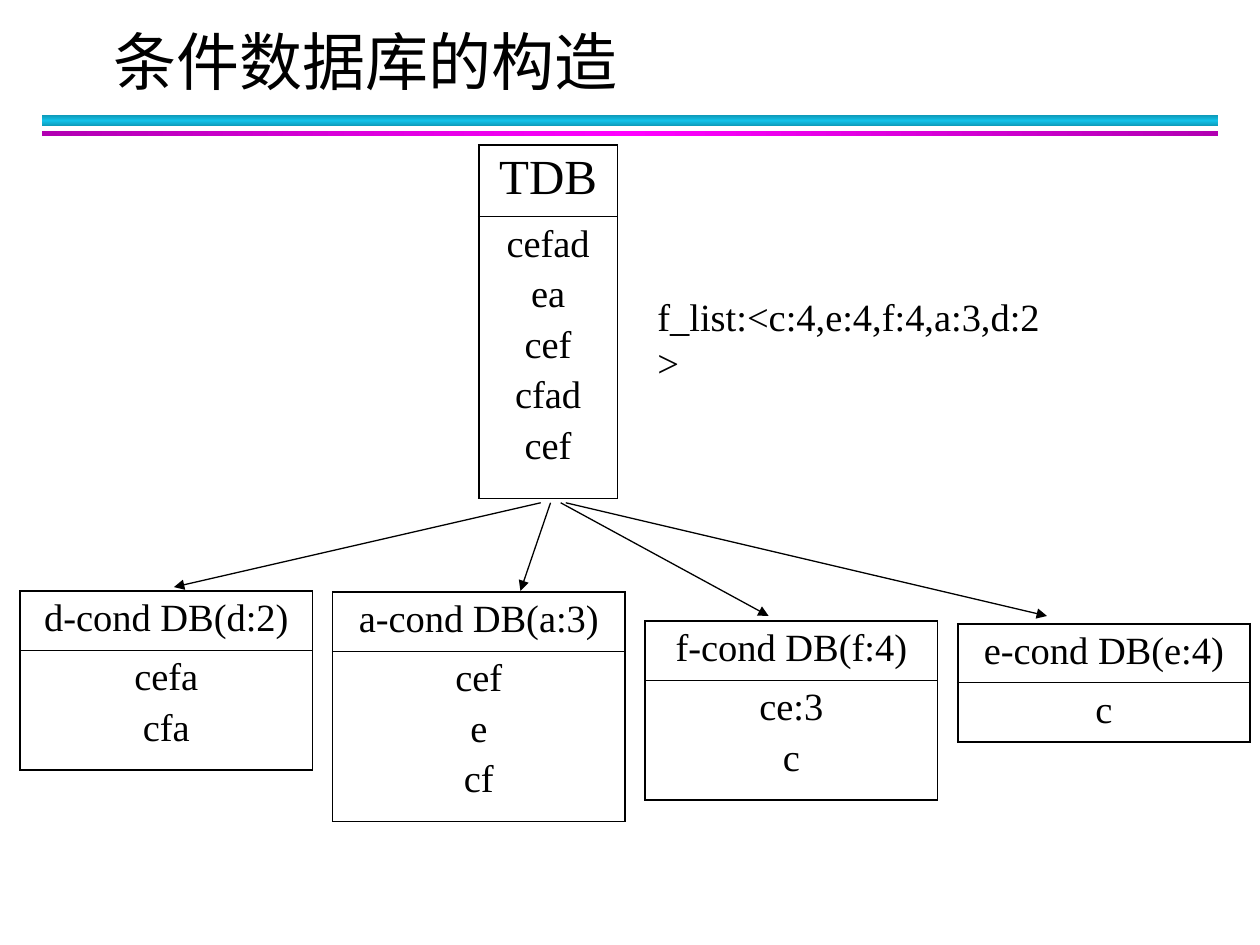
from copy import deepcopy

from pptx import Presentation
from pptx.dml.color import RGBColor
from pptx.enum import shapes, text
from pptx.oxml import ns, parse_xml
from pptx.util import Pt

# Content
TITLE = "条件数据库的构造"
F_LIST = "f_list:<c:4,e:4,f:4,a:3,d:2>"
ROOT = ("TDB", ["cefad", "ea", "cef", "cfad", "cef"])
# Heading, transactions, table top, body height, arrow start x, arrow end
CONDITIONAL = [
    ("d-cond DB(d:2)", ["cefa", "cfa"], 337.7, 68.4, 309, (99.4, 335.5)),
    ("a-cond DB(a:3)", ["cef", "e", "cf"], 338.4, 97.2, 314.6, (297.4, 337.7)),
    ("f-cond DB(f:4)", ["ce:3", "c"], 355, 68.4, 320.4, (439.2, 352)),
    ("e-cond DB(e:4)", ["c"], 356.4, 33.8, 323.3, (598.3, 352)),
]
# Top, height, edge colour, middle colour, gradient angle
RULES = [
    (66, 6, "0E9BBA", "12C2E9", 90),
    (74.9, 2.9, "B200B2", "FF00FF", 0),
]

# Layout
FONT, BLACK = "Times New Roman", "000000"
OUTER, INNER = 1.08, 0.45
HEADING_HEIGHT = 33.8
CHILD_LEFT, CHILD_WIDTH, CHILD_PITCH = 11.5, 167, 178.6
ARROW_TOP = 287.3


def color(value):
    return RGBColor.from_string(value)


def format_text(frame, size, align=text.PP_ALIGN.LEFT, gap=0):
    for index, paragraph in enumerate(frame.paragraphs):
        paragraph.alignment = align
        paragraph.space_before = Pt(gap if index else 0)
        for run in paragraph.runs:
            run.font.name = FONT
            run.font.size = Pt(size)
            run.font.color.rgb = color(BLACK)


def set_borders(cell, top, bottom):
    properties = cell._tc.get_or_add_tcPr()
    widths = {"lnL": OUTER, "lnR": OUTER, "lnT": top, "lnB": bottom}
    for position, (tag, width) in enumerate(widths.items()):
        properties.insert(position, parse_xml(
            f'<a:{tag} {ns.nsdecls("a")} w="{Pt(width)}"><a:solidFill>'
            f'<a:srgbClr val="{BLACK}"/></a:solidFill></a:{tag}>'))


def add_database(slide, heading, lines, left, top, width, heights, heading_size=22):
    frame = slide.shapes.add_table(
        2, 1, Pt(left), Pt(top), Pt(width), Pt(sum(heights)))
    table = frame.table
    table.first_row = table.horz_banding = False
    table.columns[0].width = Pt(width)
    rows = [(heading, heading_size, OUTER, INNER),
            ("\n".join(lines), 22, INNER, OUTER)]
    for index, (content, size, above, below) in enumerate(rows):
        table.rows[index].height = Pt(heights[index])
        cell = table.cell(index, 0)
        cell.text_frame.text = content
        format_text(cell.text_frame, size, text.PP_ALIGN.CENTER, 4.5)
        cell.fill.background()
        set_borders(cell, above, below)


def add_rule(slide, top, height, edge, middle, angle):
    rule = slide.shapes.add_shape(
        shapes.MSO_SHAPE.RECTANGLE, Pt(24), Pt(top), Pt(672), Pt(height))
    rule.shadow.inherit = False
    rule.line.fill.background()
    rule.fill.gradient()
    rule.fill.gradient_angle = angle
    stop_list = rule._element.spPr.find(".//" + ns.qn("a:gsLst"))
    stop_list.append(deepcopy(stop_list[-1]))
    for stop, position, value in zip(
            rule.fill.gradient_stops, (0, 0.5, 1), (edge, middle, edge)):
        stop.position = position
        stop.color.rgb = color(value)


def add_arrow(slide, start, end):
    arrow = slide.shapes.add_connector(
        shapes.MSO_CONNECTOR.STRAIGHT, *(Pt(value) for value in start + end))
    arrow.line.color.rgb = color(BLACK)
    arrow.line.width = Pt(0.75)
    arrow.line._get_or_add_ln().append(
        parse_xml(f'<a:tailEnd {ns.nsdecls("a")} type="triangle"/>'))
    arrow._element.spPr.append(parse_xml(f'<a:effectLst {ns.nsdecls("a")}/>'))


def main():
    presentation = Presentation()
    presentation.slide_width, presentation.slide_height = Pt(720), Pt(540)
    slide = presentation.slides.add_slide(presentation.slide_layouts[5])

    # Title and the two rules below it
    title = slide.shapes.title
    title.left, title.top, title.width, title.height = (
        Pt(57.6), Pt(13), Pt(648), Pt(43.2))
    title.text_frame.text = TITLE
    title.text_frame.auto_size = text.MSO_AUTO_SIZE.NONE
    title.text_frame.vertical_anchor = text.MSO_ANCHOR.MIDDLE
    format_text(title.text_frame, 36)
    for rule in RULES:
        add_rule(slide, *rule)

    # Transaction database and its frequent item list
    add_database(slide, *ROOT, 273.6, 82.8, 79.2, (41, 161), 28)
    f_list = slide.shapes.add_textbox(Pt(368.6), Pt(164), Pt(245), Pt(33.8))
    f_list.text_frame.text = F_LIST
    f_list.text_frame.word_wrap = False
    format_text(f_list.text_frame, 22)

    # Conditional databases, each with an arrow from the root
    for index, (heading, lines, top, body, start, end) in enumerate(CONDITIONAL):
        left = CHILD_LEFT + index * CHILD_PITCH
        add_database(slide, heading, lines, left, top, CHILD_WIDTH,
                     (HEADING_HEIGHT, body))
        add_arrow(slide, (start, ARROW_TOP), end)

    presentation.save("out.pptx")


if __name__ == "__main__":
    main()
